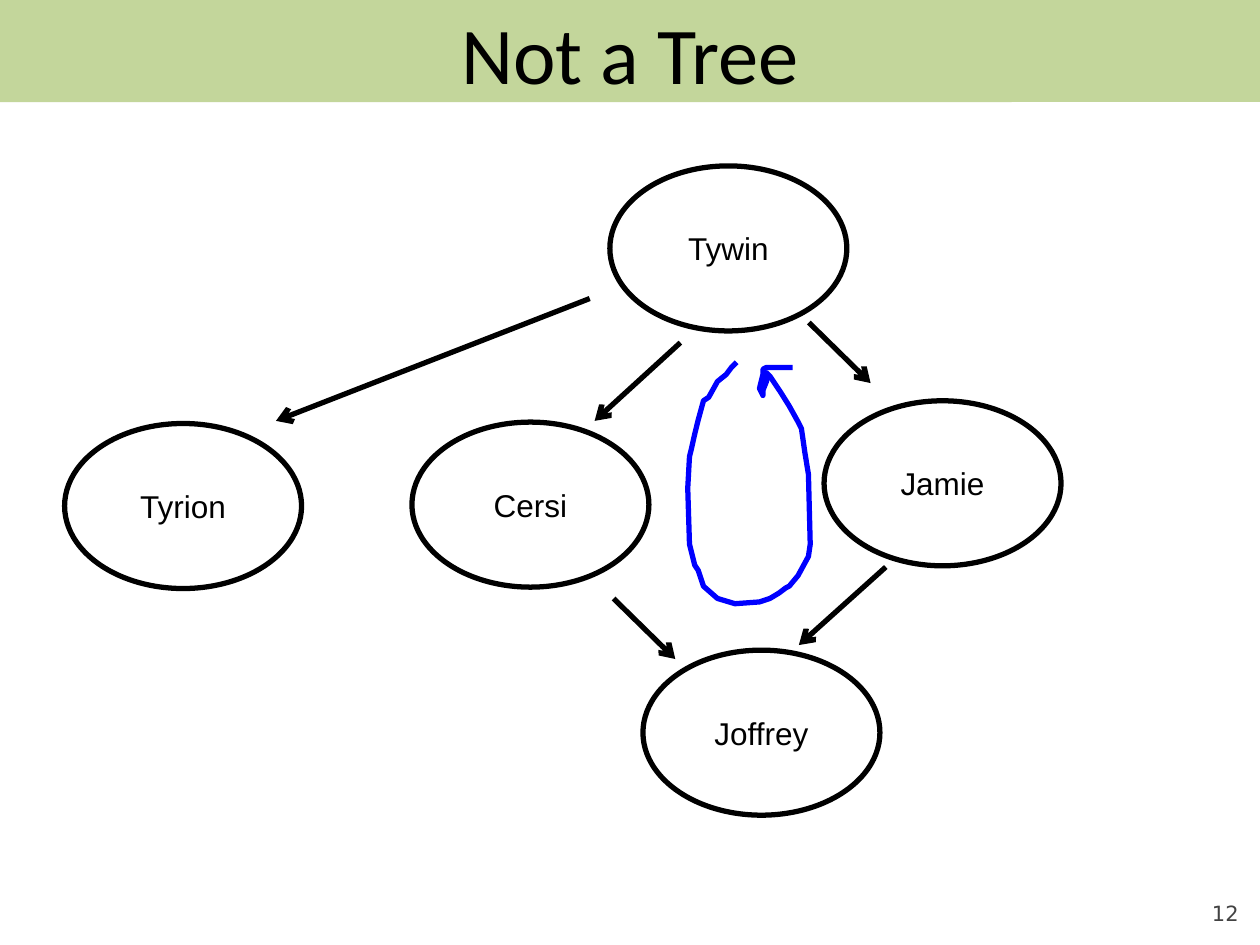
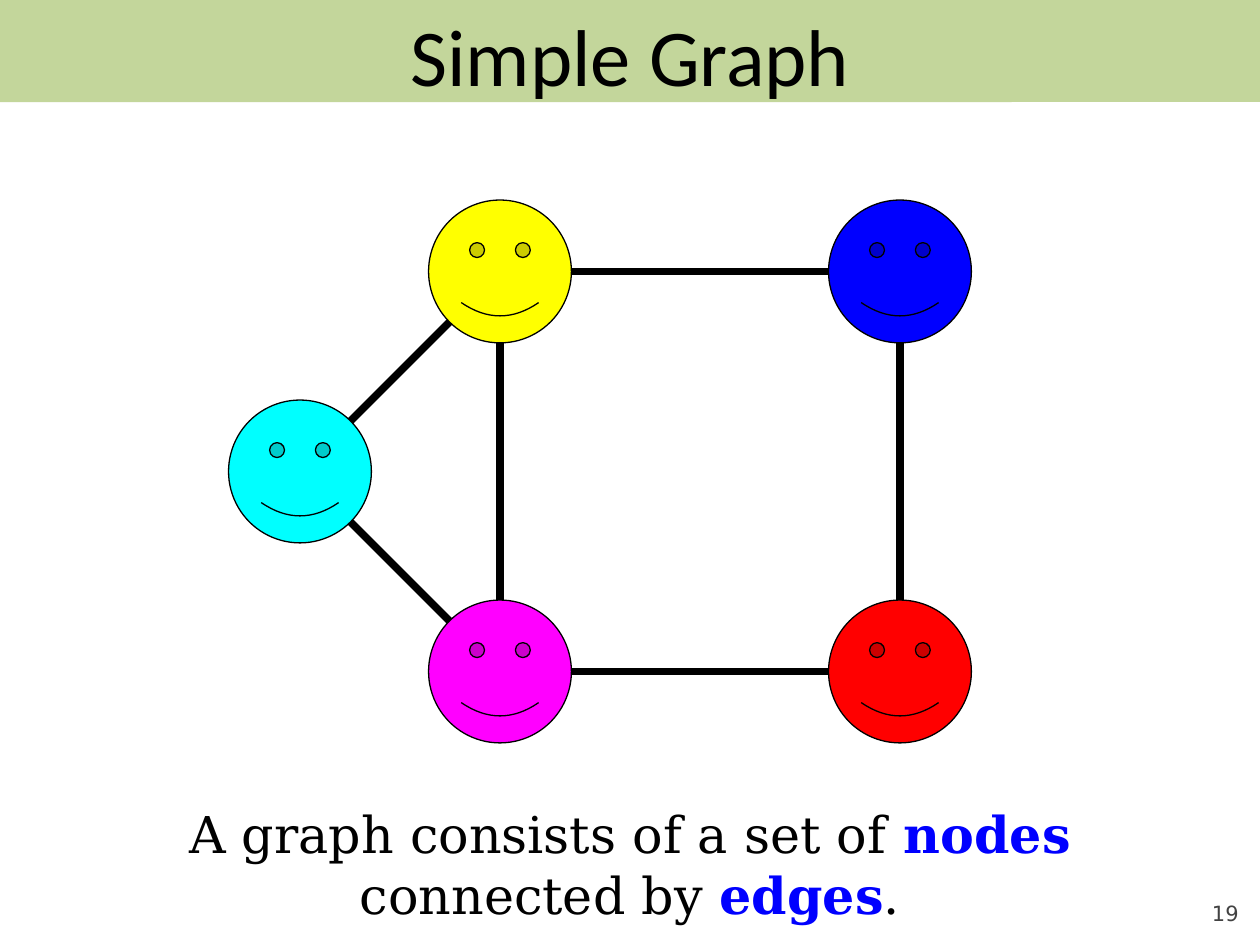
from dataclasses import dataclass
from math import hypot

from lxml.etree import SubElement
from pptx import Presentation
from pptx.dml.color import RGBColor
from pptx.enum.shapes import MSO_CONNECTOR as Link, MSO_SHAPE as Kind
from pptx.enum.text import MSO_ANCHOR as Anchor, PP_ALIGN as Align
from pptx.oxml.ns import qn
from pptx.util import Pt

BLACK = RGBColor(0, 0, 0)
GREEN = RGBColor(0xC3, 0xD6, 0x9B)
GREY = RGBColor(0x42, 0x42, 0x42)
BLUE = RGBColor(0, 0, 0xFF)
YELLOW = RGBColor(0xFF, 0xFF, 0)
RED = RGBColor(0xFF, 0, 0)
PINK = RGBColor(0xFF, 0, 0xFF)
CYAN = RGBColor(0, 0xFF, 0xFF)

WIDE, HIGH = 720, 540
OVAL_W, OVAL_H = 135.4, 94.3
STEP, RADIUS = 114.29, 40.82
LEFT, TOP = 171.43, 155.14


@dataclass
class Oval:
    name: str
    left: float
    top: float


@dataclass
class Edge:
    x1: float
    y1: float
    x2: float
    y2: float


@dataclass
class Face:
    col: int
    row: int
    color: RGBColor

    @property
    def x(self) -> float:
        return LEFT + self.col * STEP

    @property
    def y(self) -> float:
        return TOP + self.row * STEP


OVALS = [
    Oval("Cersi", 235.4, 241.2),
    Oval("Jamie", 470.9, 229),
    Oval("Tywin", 348.5, 94.8),
    Oval("Tyrion", 36.9, 242),
    Oval("Joffrey", 367.4, 371.5),
]
ARROWS = [
    Edge(337, 170.6, 157.7, 240.5),
    Edge(388.8, 195.8, 339.8, 240.5),
    Edge(462.2, 184.3, 497.5, 218.9),
    Edge(506.2, 324, 456.5, 368.6),
    Edge(350.6, 342, 385.9, 376.6),
]
LOOP = [
    (421.4, 206.8), (418.5, 210.5), (414.7, 213.8), (409.7, 218.2),
    (404.6, 226.8), (402.5, 229), (398.9, 240.5), (396.7, 248.4),
    (394.6, 257), (393.8, 261.4), (393.1, 278.6), (393.8, 311),
    (397.4, 323.3), (398.9, 326.2), (402.5, 334.8), (409.7, 342),
    (420.5, 344.9), (434.2, 344.2), (440, 342.2), (445, 339.1),
    (448.6, 336.2), (451.4, 334.8), (455.8, 329), (461.5, 318.2),
    (463, 311), (462.2, 270.7), (460.1, 259.2), (457.9, 244.8),
    (455.8, 241.2), (450.7, 231.8), (445.7, 223.9), (439.9, 215.3),
    (438.5, 213.1), (437.8, 218.2), (436.3, 223.2), (435.6, 226.1),
    (434.2, 221.8), (435.6, 213.8), (436.3, 211), (438.5, 210.2),
    (452.9, 210.2),
]
FACES = {
    "yellow": Face(1, 0, YELLOW),
    "blue": Face(3, 0, BLUE),
    "red": Face(3, 2, RED),
    "pink": Face(1, 2, PINK),
    "cyan": Face(0, 1, CYAN),
}
PAIRS = [
    ("cyan", "yellow"), ("cyan", "pink"), ("yellow", "blue"),
    ("pink", "yellow"), ("pink", "red"), ("blue", "red"),
]


def write(shape, text: str, font: str, size: float, color=BLACK,
          align=Align.CENTER, anchor=Anchor.TOP, inset=None) -> None:
    frame = shape.text_frame
    frame.word_wrap = True
    frame.vertical_anchor = anchor
    if inset is not None:
        frame.margin_left = frame.margin_right = Pt(inset)
        frame.margin_top = frame.margin_bottom = Pt(inset)
    para = frame.paragraphs[0]
    para.alignment = align
    for spot, part in enumerate(text.split("*")):
        strong = spot % 2 == 1
        run = para.add_run()
        run.text = part
        run.font.name = font
        run.font.size = Pt(size)
        run.font.bold = strong
        run.font.color.rgb = BLUE if strong else color


def box(slide, left: float, top: float, width: float, height: float):
    return slide.shapes.add_textbox(Pt(left), Pt(top), Pt(width), Pt(height))


def style(shape, fill=None, line=None, weight: float = 3) -> None:
    shape.shadow.inherit = False
    if fill is None:
        shape.fill.background()
    else:
        shape.fill.solid()
        shape.fill.fore_color.rgb = fill
    if line is None:
        shape.line.fill.background()
    else:
        shape.line.color.rgb = line
        shape.line.width = Pt(weight)


def add(slide, kind, left: float, top: float, width: float, height: float,
        **look):
    shape = slide.shapes.add_shape(
        kind, Pt(left), Pt(top), Pt(width), Pt(height))
    style(shape, **look)
    return shape


def join(slide, edge: Edge, weight: float, arrow: bool = False) -> None:
    link = slide.shapes.add_connector(
        Link.STRAIGHT, Pt(edge.x1), Pt(edge.y1), Pt(edge.x2), Pt(edge.y2))
    link.line.color.rgb = BLACK
    link.line.width = Pt(weight)
    if arrow:
        SubElement(link.line._get_or_add_ln(), qn("a:tailEnd"), type="arrow")
    SubElement(link._element.spPr, qn("a:effectLst"))


def trim(start: Face, end: Face) -> Edge:
    dx, dy = end.x - start.x, end.y - start.y
    part = RADIUS / hypot(dx, dy)
    return Edge(start.x + dx * part, start.y + dy * part,
                end.x - dx * part, end.y - dy * part)


def begin(deck, title: str, page: str, top: float):
    slide = deck.slides.add_slide(deck.slide_layouts[6])
    write(box(slide, 648, 500.4, 59.8, 28.8), page, "DejaVu Sans", 12,
          color=GREY, align=Align.RIGHT, anchor=Anchor.BOTTOM, inset=0)
    band = add(slide, Kind.ROUNDED_RECTANGLE, 0, 0, WIDE, 58.3, fill=GREEN)
    band.adjustments[0] = 0.001
    write(box(slide, 36, top, 648, 54), title, "Calibri", 46)
    return slide


def tree(deck) -> None:
    slide = begin(deck, "Not a Tree", "12", -1.4)
    for oval in OVALS:
        shape = add(slide, Kind.OVAL, oval.left, oval.top, OVAL_W, OVAL_H,
                    line=BLACK)
        write(shape, oval.name, "Arial", 18, anchor=Anchor.MIDDLE)
    for edge in ARROWS:
        join(slide, edge, 3, arrow=True)
    pen = slide.shapes.build_freeform(*LOOP[0], scale=Pt(1))
    pen.add_line_segments(LOOP[1:], close=False)
    style(pen.convert_to_shape(), line=BLUE)


def graph(deck) -> None:
    slide = begin(deck, "Simple Graph", "19", 0)
    write(box(slide, 36, 458.5, 648, 68),
          "A graph consists of a set of *nodes* connected by *edges*.",
          "DejaVu Serif", 29, inset=0)
    for face in FACES.values():
        add(slide, Kind.SMILEY_FACE, face.x - RADIUS, face.y - RADIUS,
            2 * RADIUS, 2 * RADIUS, fill=face.color, line=BLACK, weight=0.75)
    for start, end in PAIRS:
        join(slide, trim(FACES[start], FACES[end]), 4.31)


def main() -> None:
    deck = Presentation()
    deck.slide_width, deck.slide_height = Pt(WIDE), Pt(HIGH)
    tree(deck)
    graph(deck)
    deck.save("out.pptx")


if __name__ == "__main__":
    main()
